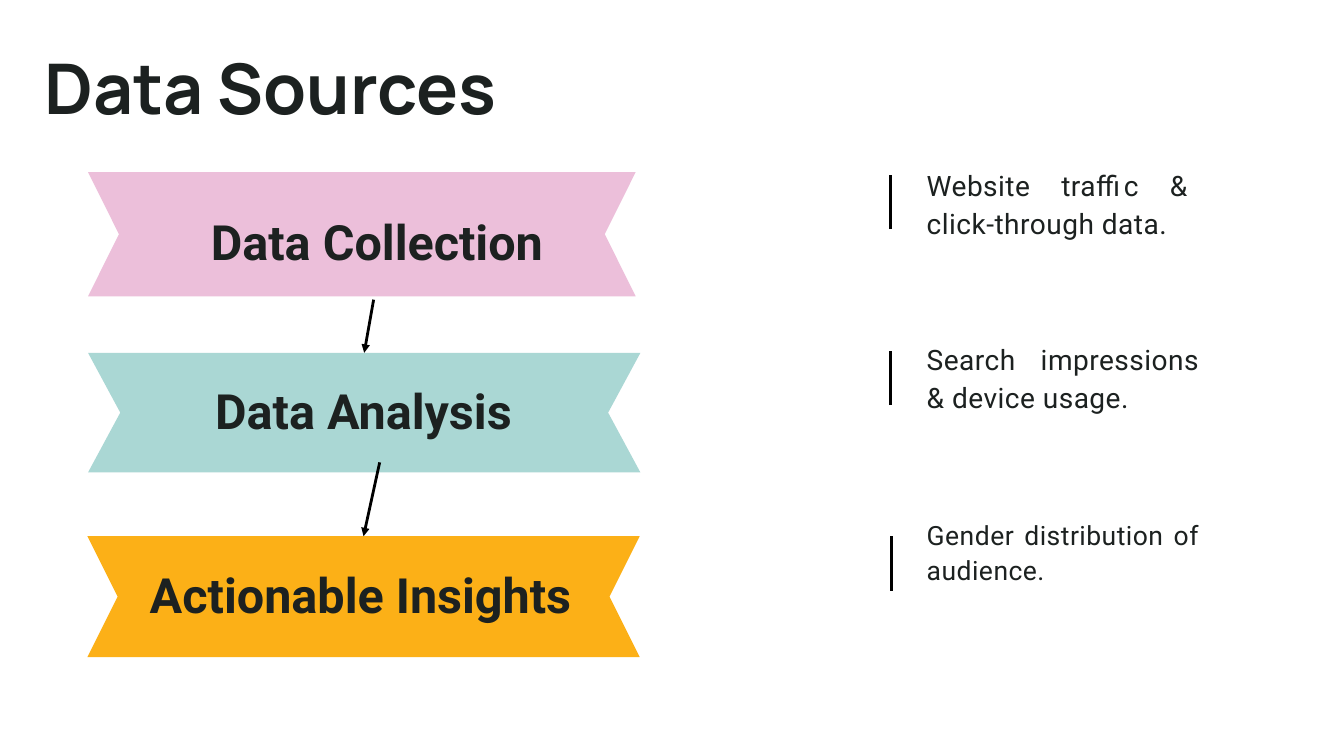
from lxml.etree import SubElement
from pptx import Presentation
from pptx.dml.color import RGBColor
from pptx.enum.shapes import MSO_CONNECTOR as Connector
from pptx.enum.text import PP_ALIGN as Align
from pptx.oxml.ns import qn
from pptx.util import Inches, Pt

INK = RGBColor(0x1C, 0x21, 0x20)
BLACK = RGBColor(0x00, 0x00, 0x00)
PINK = RGBColor(0xEC, 0xBF, 0xDA)
TEAL = RGBColor(0xAA, 0xD7, 0xD4)
AMBER = RGBColor(0xFC, 0xB0, 0x17)

deck = Presentation()
deck.slide_width, deck.slide_height = Inches(20), Inches(11.25)
slide = deck.slides.add_slide(deck.slide_layouts[6])
shapes = slide.shapes

# A grid of 100 columns by 100 rows
COL = deck.slide_width / 100
ROW = deck.slide_height / 100


def add_text(text, left, top, width, height, *, size, leading,
             font="Roboto", bold=False, align=Align.LEFT, tracking=0):
    box = shapes.add_textbox(int(left * COL), int(top * ROW),
                             int(width * COL), int(height * ROW))
    frame = box.text_frame
    frame.word_wrap = True
    frame.margin_left = frame.margin_right = 0
    frame.margin_top = frame.margin_bottom = 0
    paragraph = frame.paragraphs[0]
    paragraph.alignment = align
    paragraph.line_spacing = Pt(leading)
    run = paragraph.add_run()
    run.text = text
    run.font.name = font
    run.font.size = Pt(size)
    run.font.bold = bold
    run.font.color.rgb = INK
    if tracking:
        run.font._element.set("spc", str(int(tracking * 100)))


def add_line(x1, y1, x2, y2, arrow=False):
    line = shapes.add_connector(Connector.STRAIGHT, int(x1 * COL), int(y1 * ROW),
                                int(x2 * COL), int(y2 * ROW))
    line.line.color.rgb = BLACK
    line.line.width = Pt(3)
    properties = line._element.spPr
    if arrow:
        SubElement(properties.find(qn("a:ln")), qn("a:tailEnd"), type="triangle")
    SubElement(properties, qn("a:effectLst"))


add_text("Data Sources", 3.3, 6.4, 41.2, 11.29, size=74.8, leading=85.3,
         font="Manrope", bold=True)

# Steps: ribbon left, top, width, height, notch; label left, top, width
steps = [
    ("Data Collection", PINK, (6.55, 22.76, 40.75, 16.44, 2.3), (11.9, 26.76, 32.3)),
    ("Data Analysis", TEAL, (6.55, 46.67, 41.1, 15.82, 2.4), (10.9, 49.07, 32.3)),
    ("Actionable Insights", AMBER, (6.5, 70.93, 41.1, 16, 2.25), (7.95, 73.42, 37.75)),
]
for step, color, (left, top, width, height, notch), label_place in steps:
    right, middle, bottom = left + width, top + height / 2, top + height
    outline = [(right, top), (left, top), (left + notch, middle),
               (left, bottom), (right, bottom), (right - notch, middle)]
    corners = [(int(x * COL), int(y * ROW)) for x, y in outline]
    builder = shapes.build_freeform(*corners[0])
    builder.add_line_segments(corners[1:], close=True)
    ribbon = builder.convert_to_shape()
    ribbon.shadow.inherit = False
    ribbon.fill.solid()
    ribbon.fill.fore_color.rgb = color
    ribbon.line.fill.background()
    add_text(step, *label_place, 8.62, size=52, leading=72.8,
             bold=True, align=Align.CENTER)

add_line(27.8, 39.64, 27.1, 46.67, arrow=True)
add_line(28.25, 61.16, 27.05, 70.93, arrow=True)

# Sources: bar column and top; text top, width, height, size and leading
sources = [
    ("Website traffic & click-through data.", 66.25, 23.11, 21.69, 19.45, 9.87, 30.1, 40.6),
    ("Search impressions & device usage.", 66.25, 46.4, 44.71, 20.3, 9.87, 30.1, 40.6),
    ("Gender distribution of audience.", 66.35, 70.93, 68.09, 20.3, 13.69, 28.4, 38.3),
]
for source, bar_x, bar_top, top, width, height, size, leading in sources:
    add_line(bar_x, bar_top + 7.2, bar_x, bar_top)
    add_text(source, 68.95, top, width, height, size=size, leading=leading,
             align=Align.JUSTIFY, tracking=0.5)

deck.save("out.pptx")
